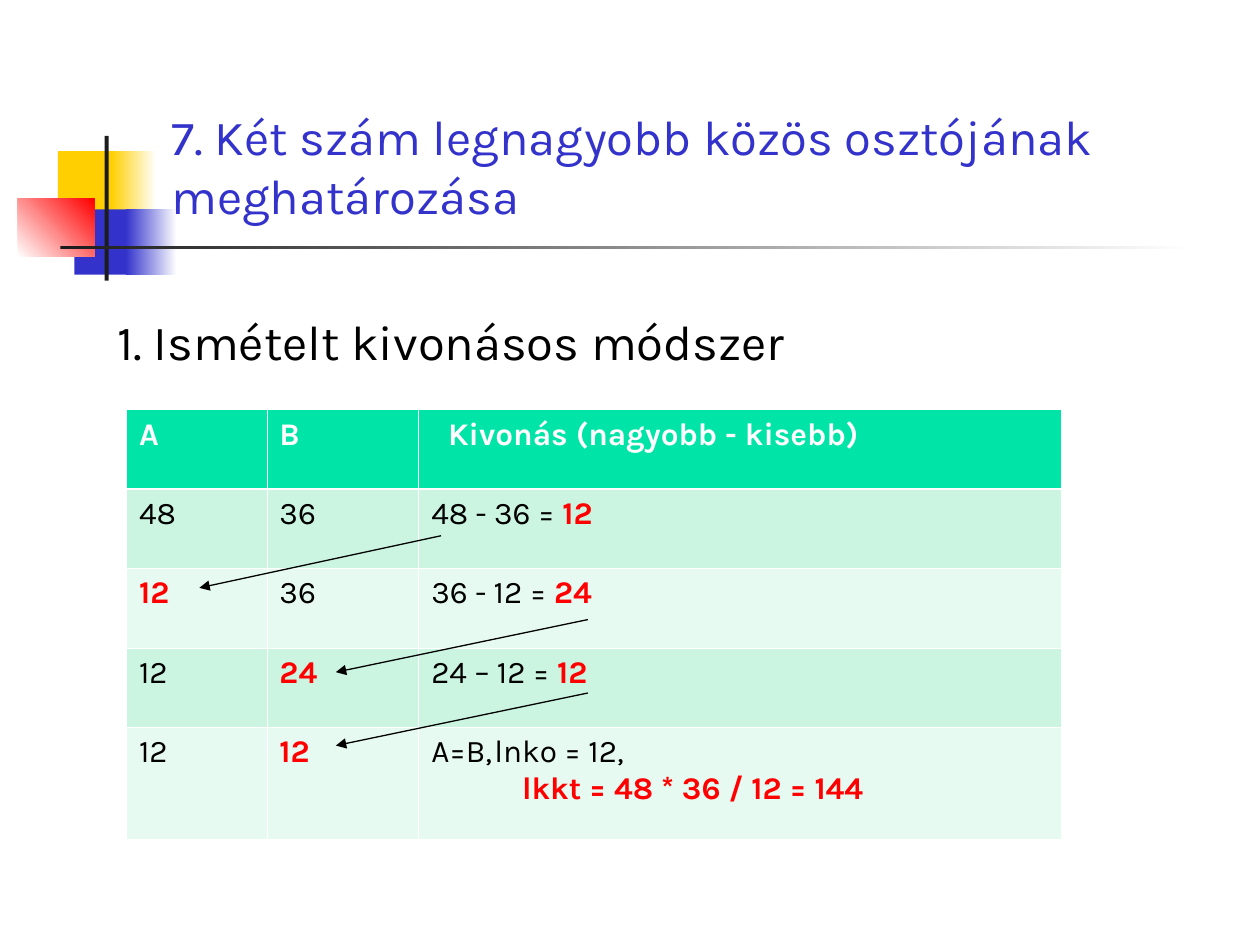
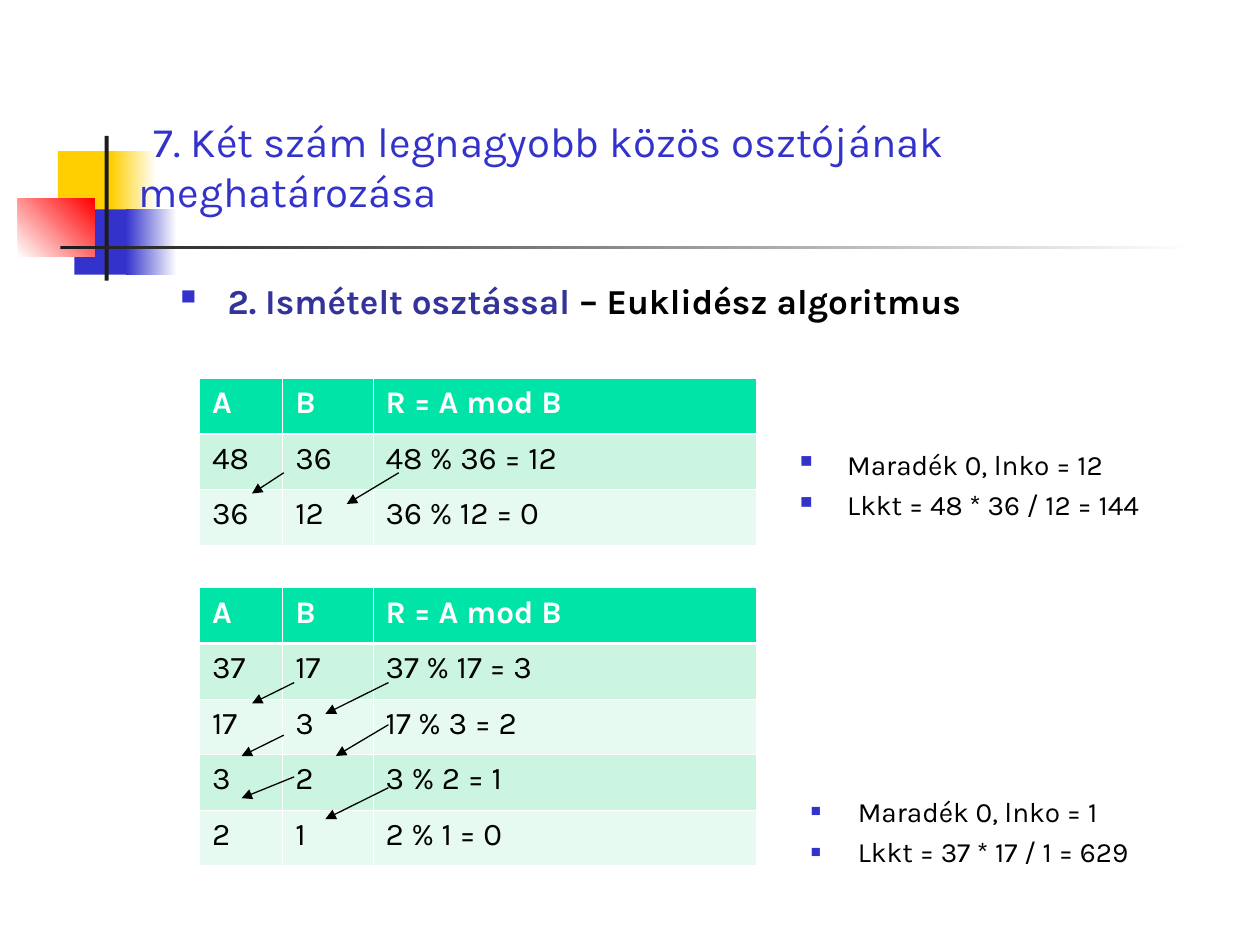
from dataclasses import dataclass

from lxml.etree import SubElement
from pptx import Presentation
from pptx.dml.color import RGBColor
from pptx.enum.shapes import MSO_CONNECTOR, MSO_SHAPE
from pptx.enum.text import MSO_ANCHOR, MSO_AUTO_SIZE, PP_ALIGN
from pptx.oxml import parse_xml
from pptx.oxml.ns import nsdecls, qn
from pptx.util import Cm, Pt


@dataclass(frozen=True)
class Theme:
    font: str = "Karla"
    title: str = "3333CC"
    heading: str = "333399"
    text: str = "000000"
    accent: str = "FF0000"
    white: str = "FFFFFF"
    yellow: str = "FFCF01"
    rule: str = "1C1C1C"
    header_fill: str = "00E4A8"
    band_fills: tuple = ("CBF5E1", "E7FAF1")
    large: int = 28
    title_small: int = 24
    subtitle: int = 20
    table: int = 18
    note: int = 16
    thin: float = 0.45
    thick: float = 1.47


THEME = Theme()
TITLE = "7. Két szám legnagyobb közös osztójának meghatározása"
HANGING = 0.95


@dataclass(frozen=True)
class Span:
    text: str
    color: str = THEME.text
    bold: bool = False


@dataclass(frozen=True)
class Line:
    spans: tuple
    left: float = 0
    first: float = 0
    tab: float = 0
    bullet: bool = False
    before: float = 0


def plain(text, **layout):
    return Line((Span(text),), **layout)


def strong(text, **layout):
    return Line((Span(text, THEME.accent, True),), **layout)


def result(text, value):
    return Line((Span(text), Span(value, THEME.accent, True)))


def heading(text):
    return Line((Span(text, THEME.white, True),))


def place(shape, left, top, width, height):
    shape.left, shape.top = Cm(left), Cm(top)
    shape.width, shape.height = Cm(width), Cm(height)


def format_paragraph(para, line):
    properties = para._p.get_or_add_pPr()
    properties.set("marL", str(Cm(line.left)))
    properties.set("indent", str(Cm(line.first)))
    if line.bullet:
        color = SubElement(properties, qn("a:buClr"))
        SubElement(color, qn("a:srgbClr"), val=THEME.title)
        SubElement(properties, qn("a:buSzPct"), val="60000")
        SubElement(properties, qn("a:buChar"), char="■")
    else:
        SubElement(properties, qn("a:buNone"))
    if line.tab:
        stops = SubElement(properties, qn("a:tabLst"))
        SubElement(stops, qn("a:tab"), pos=str(Cm(line.tab)), algn="l")
    para.alignment = PP_ALIGN.LEFT
    para.space_before = Pt(line.before)


def write(frame, lines, size):
    for index, line in enumerate(lines):
        para = frame.add_paragraph() if index else frame.paragraphs[0]
        format_paragraph(para, line)
        for span in line.spans:
            run = para.add_run()
            run.text = span.text
            run.font.name = THEME.font
            run.font.size = Pt(size)
            run.font.bold = span.bold
            run.font.color.rgb = RGBColor.from_string(span.color)


def fill_box(box, bounds, lines, size, anchor=MSO_ANCHOR.TOP):
    place(box, *bounds)
    frame = box.text_frame
    frame.word_wrap = True
    frame.auto_size = MSO_AUTO_SIZE.NONE
    frame.vertical_anchor = anchor
    write(frame, lines, size)


def add_text(page, bounds, lines, size):
    box = page.shapes.add_textbox(*(Cm(length) for length in bounds))
    fill_box(box, bounds, lines, size)


def set_title(page, left, top, size, first=0):
    line = Line((Span(TITLE, THEME.title),), first=first)
    fill_box(page.shapes.title, (left, top, 21.64, 4.06), [line], size, MSO_ANCHOR.BOTTOM)


def bullets(*texts):
    return [
        plain(text, left=HANGING, first=-HANGING, bullet=True, before=4 if index else 0)
        for index, text in enumerate(texts)
    ]


def add_block(page, bounds, start, end=None, angle=0):
    block = page.shapes.add_shape(MSO_SHAPE.RECTANGLE, *(Cm(length) for length in bounds))
    block.shadow.inherit = False
    block.line.fill.background()
    if end is None:
        block.fill.solid()
        block.fill.fore_color.rgb = RGBColor.from_string(start)
    else:
        block.fill.gradient()
        block.fill.gradient_angle = angle
        for stop, color in zip(block.fill.gradient_stops, (start, end)):
            stop.color.rgb = RGBColor.from_string(color)
    return block


def decorate_layout(layout, page):
    blocks = (
        ((1.17, 3.05, 1.22, 1.32), THEME.yellow),
        ((2.24, 3.05, 0.91, 1.32), THEME.yellow, THEME.white),
        ((1.5, 4.22, 1.17, 1.32), THEME.title),
        ((2.54, 4.22, 1.02, 1.32), THEME.title, THEME.white),
        ((0.36, 4.01, 1.55, 1.17), THEME.white, THEME.accent, 45),
        ((2.11, 2.74, 0.08, 2.92), THEME.rule),
        ((1.22, 4.95, 22.86, 0.08), THEME.rule, THEME.white),
    )
    for position, block in enumerate(blocks, start=2):
        layout.shapes.element.insert(position, add_block(page, *block).element)


def set_borders(cell, top, bottom):
    properties = cell._tc.get_or_add_tcPr()
    widths = {"lnL": THEME.thin, "lnR": THEME.thin, "lnT": top, "lnB": bottom}
    for position, (side, width) in enumerate(widths.items()):
        border = parse_xml(
            f'<a:{side} {nsdecls("a")} w="{Pt(width)}"><a:solidFill>'
            f'<a:srgbClr val="{THEME.white}"/></a:solidFill></a:{side}>'
        )
        properties.insert(position, border)


def add_table(page, left, top, widths, heights, rows):
    frame = page.shapes.add_table(
        len(rows), len(widths), Cm(left), Cm(top), Cm(sum(widths)), Cm(sum(heights))
    )
    table = frame.table
    for column, width in zip(table.columns, widths):
        column.width = Cm(width)
    for index, (row, height, contents) in enumerate(zip(table.rows, heights, rows)):
        row.height = Cm(height)
        color = THEME.band_fills[(index - 1) % 2] if index else THEME.header_fill
        for cell, content in zip(row.cells, contents):
            cell.fill.solid()
            cell.fill.fore_color.rgb = RGBColor.from_string(color)
            set_borders(
                cell,
                THEME.thick if index == 1 else THEME.thin,
                THEME.thin if index else THEME.thick,
            )
            lines = content if isinstance(content, list) else [content]
            write(cell.text_frame, lines, THEME.table)


def add_division_table(page, top, steps):
    rows = [[heading(text) for text in ("A", "B", "R = A mod B")]]
    for a, b in steps:
        rows.append([plain(str(a)), plain(str(b)), plain(f"{a} % {b} = {a % b}")])
    add_table(page, 4.02, top, (1.68, 1.82, 7.73), [1.12] * len(rows), rows)


def add_arrows(page, arrows):
    for points in arrows:
        arrow = page.shapes.add_connector(
            MSO_CONNECTOR.STRAIGHT, *(Cm(length) for length in points)
        )
        arrow.line.color.rgb = RGBColor.from_string(THEME.text)
        arrow.line.width = Pt(0.75)
        properties = arrow.element.spPr
        SubElement(properties.find(qn("a:ln")), qn("a:tailEnd"), type="triangle")
        SubElement(properties, qn("a:effectLst"))


def build_subtraction(page):
    set_title(page, 3.2, 0.58, THEME.large)
    method = plain("1. Ismételt kivonásos módszer", left=HANGING, first=-HANGING)
    fill_box(page.placeholders[1], (2.11, 6.15, 20.62, 2.44), [method], THEME.large)
    subtraction = Line((Span("Kivonás (nagyobb - kisebb)", THEME.white, True),), left=0.34)
    answer = [
        plain("A=B,\tlnko = 12,", tab=1.83),
        strong("lkkt = 48 * 36 / 12 = 144", left=1.83),
    ]
    rows = [
        [heading("A"), heading("B"), subtraction],
        [plain("48"), plain("36"), result("48 - 36 = ", "12")],
        [strong("12"), plain("36"), result("36 - 12 = ", "24")],
        [plain("12"), strong("24"), result("24 – 12 = ", "12")],
        [plain("12"), strong("12"), answer],
    ]
    add_table(page, 2.55, 8.26, (2.83, 3.06, 12.95), [1.6] * 4 + [2.27], rows)
    add_arrows(page, (
        (8.89, 10.8, 4.02, 11.85),
        (11.85, 12.49, 6.77, 13.55),
        (11.85, 13.97, 6.77, 15.03),
    ))


def build_division(page):
    set_title(page, 2.54, 0.42, THEME.title_small, first=0.3)
    fill_box(
        page.placeholders[1],
        (16.09, 15.88, 8.68, 2.12),
        bullets("Maradék 0, lnko = 1", "Lkkt = 37 * 17 / 1 = 629"),
        THEME.note,
    )
    add_division_table(page, 7.63, ((48, 36), (36, 12)))
    add_division_table(page, 11.85, ((37, 17), (17, 3), (3, 2), (2, 1)))
    method = Line(
        (
            Span("2. Ismételt osztással ", THEME.heading, True),
            Span("– Euklidész algoritmus", bold=True),
        ),
        left=HANGING,
        first=-HANGING,
        bullet=True,
    )
    add_text(page, (3.39, 5.5, 18.2, 1.48), [method], THEME.subtitle)
    add_text(
        page,
        (15.88, 8.89, 8.68, 2.12),
        bullets("Maradék 0, lnko = 12", "Lkkt = 48 * 36 / 12 = 144"),
        THEME.note,
    )
    add_arrows(page, (
        (5.72, 9.53, 5.08, 9.95),
        (8.04, 9.53, 6.99, 10.16),
        (5.93, 13.76, 5.08, 14.18),
        (7.83, 13.76, 6.56, 14.39),
        (5.72, 14.82, 4.87, 15.24),
        (7.83, 14.61, 6.77, 15.24),
        (5.93, 15.66, 4.87, 16.09),
        (7.83, 15.88, 6.56, 16.51),
    ))


def main():
    deck = Presentation()
    deck.slide_width, deck.slide_height = Cm(25.4), Cm(19.05)
    layout = deck.slide_layouts[1]
    pages = [deck.slides.add_slide(layout) for _ in range(2)]
    decorate_layout(layout, pages[0])
    for build, page in zip((build_subtraction, build_division), pages):
        build(page)
    deck.save("out.pptx")


if __name__ == "__main__":
    main()
